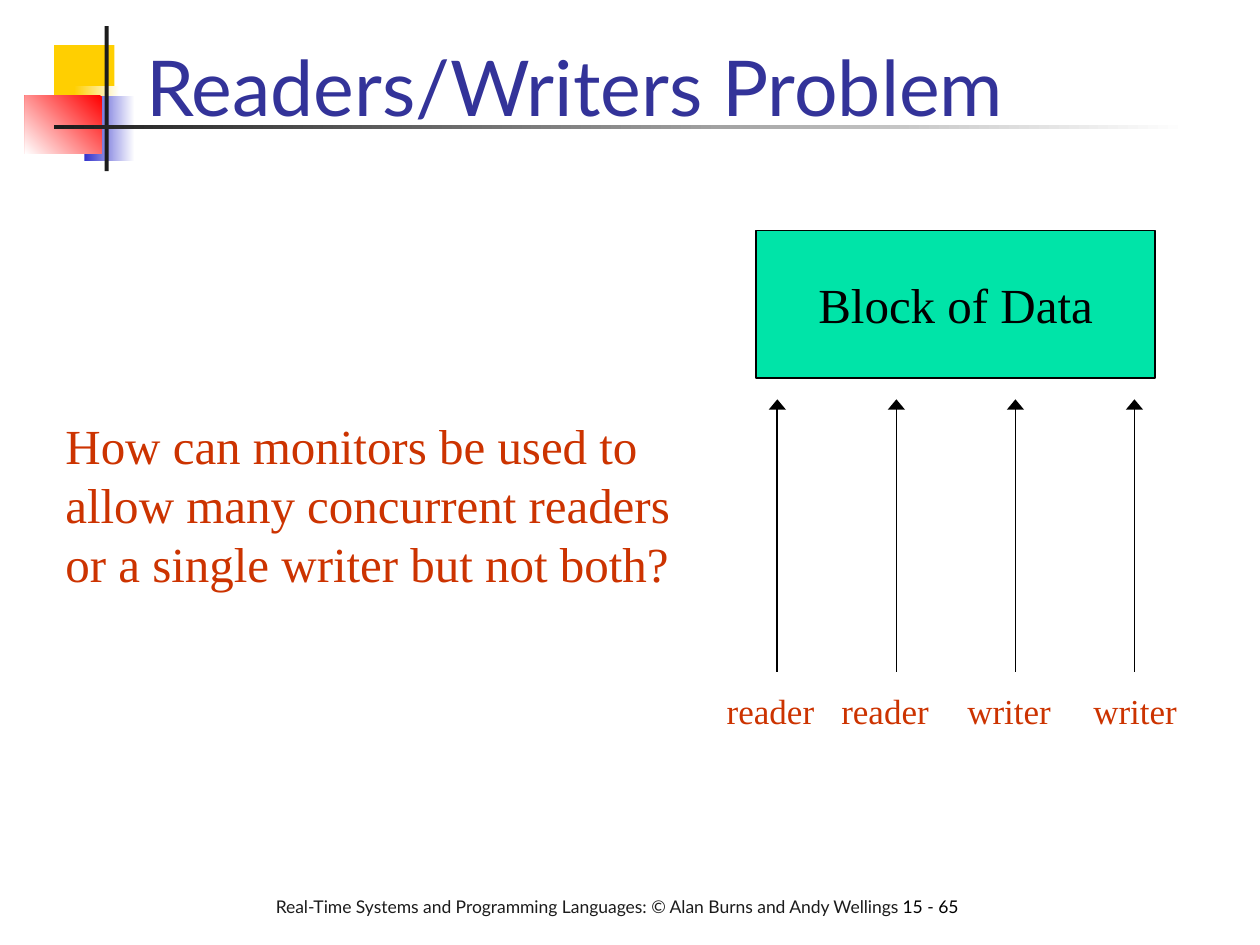
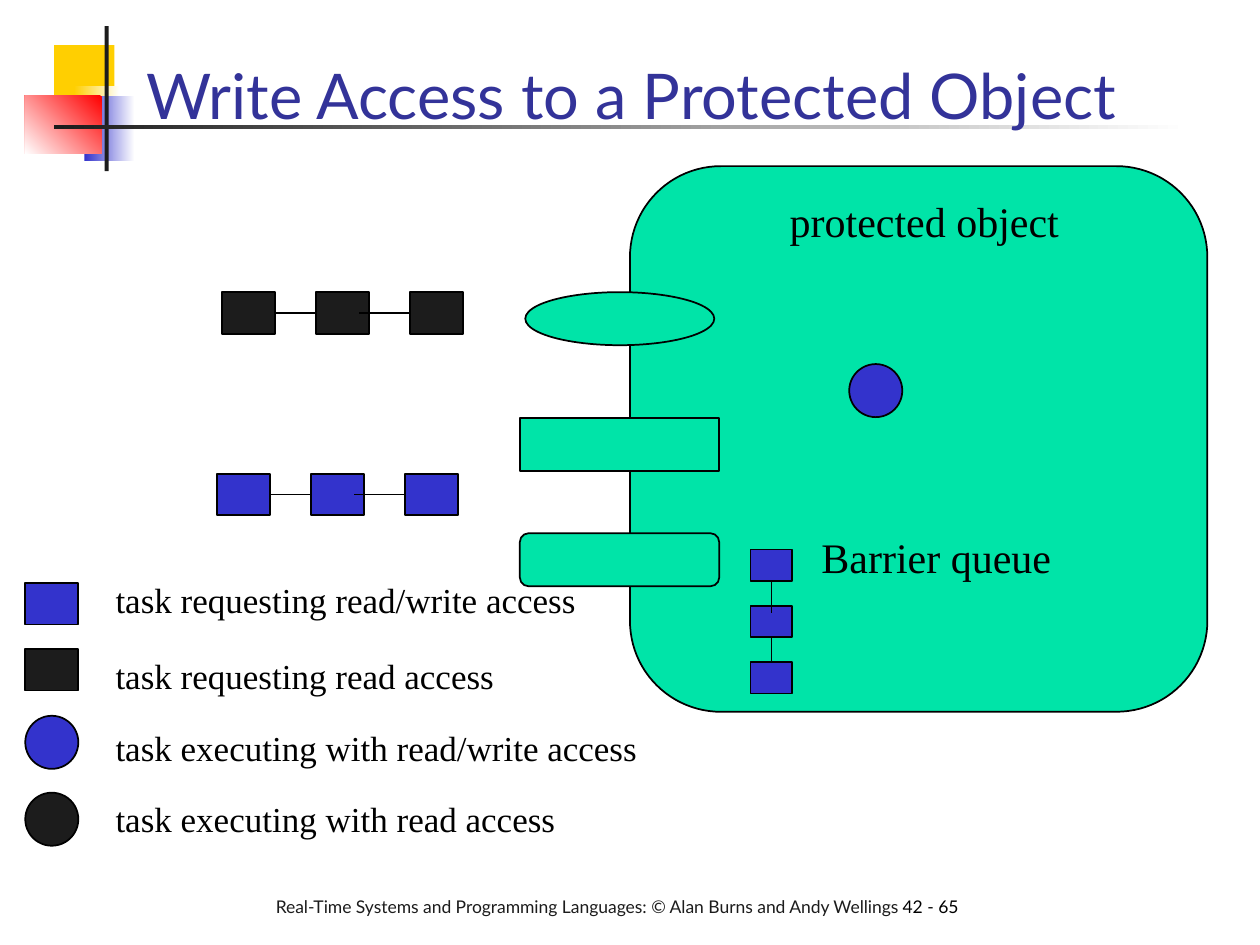
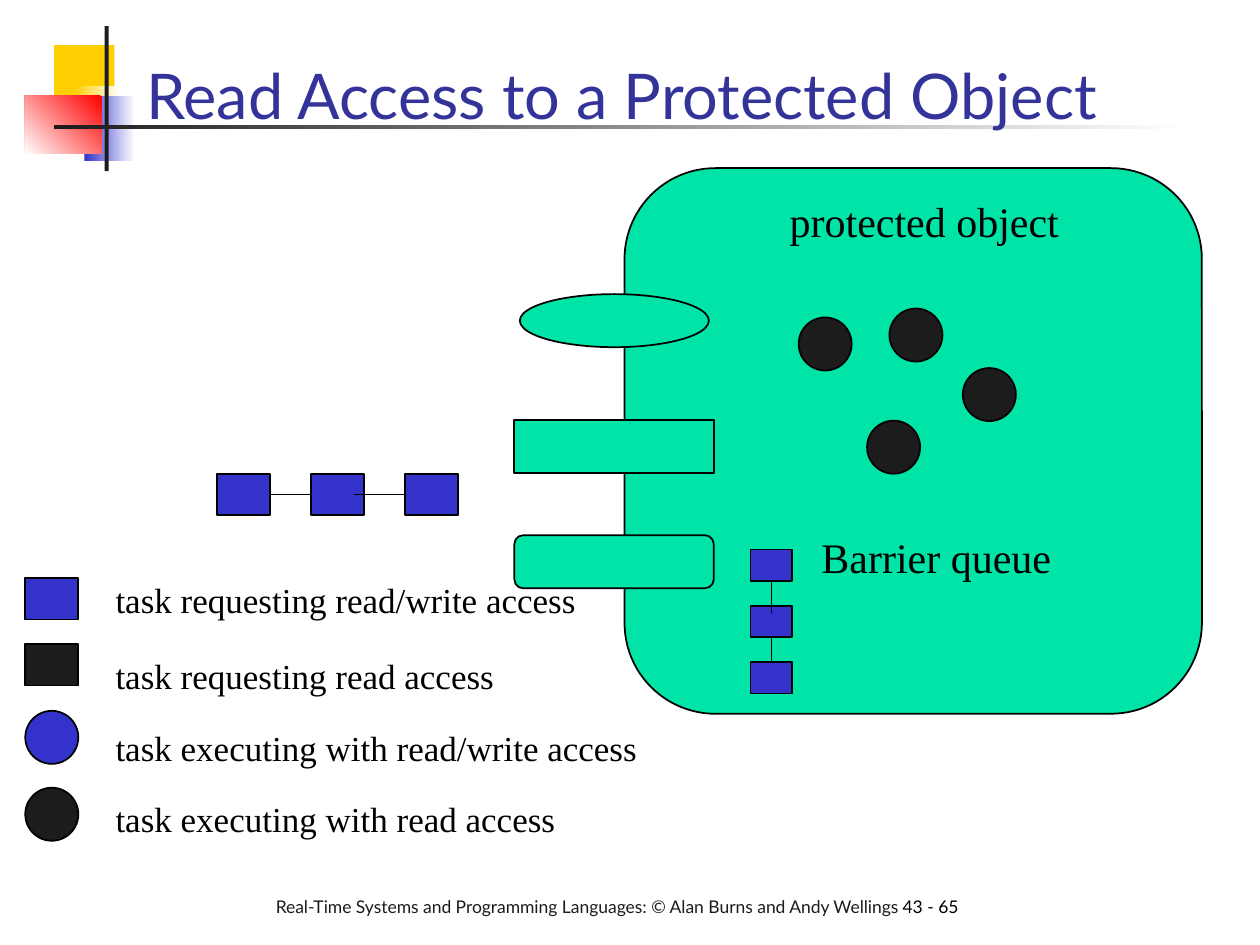
"""Build three slides on readers, writers and access to protected objects."""
from lxml.etree import SubElement
from pptx import Presentation
from pptx.dml.color import RGBColor
from pptx.enum.shapes import MSO_CONNECTOR, MSO_SHAPE
from pptx.enum.text import MSO_ANCHOR, MSO_AUTO_SIZE, PP_ALIGN
from pptx.oxml.ns import qn
from pptx.shapes.connector import Connector
from pptx.util import Cm, Pt

BLACK, WHITE, CHARCOAL = "000000", "FFFFFF", "1C1C1C"
BLUE, YELLOW, RED = "3333CC", "FFCF01", "FF0000"
GREEN, INDIGO, RUST = "00E4A8", "333399", "CC3300"
SERIF, SANS = "Times New Roman", "Lato"
RECT, ROUND, OVAL = MSO_SHAPE.RECTANGLE, MSO_SHAPE.ROUNDED_RECTANGLE, MSO_SHAPE.OVAL


def add_block(slide, kind, box, colour, outlined=True):
    """Add a filled shape with its box given in centimetres."""
    block = slide.shapes.add_shape(kind, *map(Cm, box))
    block.shadow.inherit = False
    block.fill.solid()
    block.fill.fore_color.rgb = RGBColor.from_string(colour)
    if outlined:
        block.line.color.rgb = RGBColor.from_string(BLACK)
        block.line.width = Pt(1)
    else:
        block.line.fill.background()
    return block


def write(frame, runs, size, font=SERIF, wrap=False, before=0, align=PP_ALIGN.LEFT):
    """Write one paragraph of (text, colour) runs."""
    frame.word_wrap = wrap
    paragraph = frame.paragraphs[0]
    paragraph.alignment = align
    paragraph.space_before = Pt(before)
    for text, colour in runs:
        run = paragraph.add_run()
        run.text = text
        run.font.size = Pt(size)
        run.font.name = font
        run.font.color.rgb = RGBColor.from_string(colour)


prs = Presentation()
prs.slide_width, prs.slide_height = Cm(25.4), Cm(19.05)

layout = prs.slide_layouts[5]
for placeholder in list(layout.placeholders):
    if placeholder.placeholder_format.idx > 0:
        placeholder.element.getparent().remove(placeholder.element)
heading = layout.placeholders[0]
heading.left, heading.top, heading.width, heading.height = map(Cm, (2.69, 0.33, 21.64, 2.46))

slides = []
for title, size, number in [
    ("Readers/Writers Problem", 44, 15),
    ("Write Access to a Protected Object", 36, 42),
    ("Read Access to a Protected Object", 36, 43),
]:
    slide = prs.slides.add_slide(layout)
    frame = slide.shapes.title.text_frame
    frame.vertical_anchor = MSO_ANCHOR.BOTTOM
    frame.auto_size = MSO_AUTO_SIZE.NONE
    write(frame, [(title, INDIGO)], size, SANS, wrap=True)
    footer = slide.shapes.add_textbox(Cm(5.31), Cm(17.93), Cm(15.39), Cm(1.17))
    credit = "Real-Time Systems and Programming Languages: © Alan Burns and Andy Wellings "
    write(footer.text_frame, [(credit, CHARCOAL), (f"{number} - 65", BLACK)], 10, SANS, wrap=True)
    slides.append(slide)

for box, colour, fade_to, angle in [
    ((1.09, 0.91, 1.22, 1.32), YELLOW, None, 0),
    ((1.5, 1.73, 0.91, 1.32), YELLOW, WHITE, 0),
    ((1.7, 1.93, 1.02, 1.32), BLUE, WHITE, 0),
    ((0.5, 1.93, 1.55, 1.17), RED, WHITE, 225),
    ((2.11, 0.53, 0.08, 2.92), CHARCOAL, None, 0),
    ((1.09, 2.52, 22.86, 0.09), CHARCOAL, WHITE, 0),
]:
    ornament = add_block(slides[0], RECT, box, colour, outlined=False)
    if fade_to:
        ornament.fill.gradient()
        ornament.fill.gradient_angle = angle
        for stop, shade in zip(ornament.fill.gradient_stops, (colour, fade_to)):
            stop.color.rgb = RGBColor.from_string(shade)
    layout.shapes.element.append(ornament.element)

problem = slides[0]
data_block = add_block(problem, RECT, (15.24, 4.65, 8.05, 2.97), GREEN)
data_block.text_frame.vertical_anchor = MSO_ANCHOR.MIDDLE
write(data_block.text_frame, [("Block of Data", BLACK)], 28, before=7, align=PP_ALIGN.CENTER)

arrows = []
for i, (role, left) in enumerate(
    [("reader", 14.4), ("reader", 16.71), ("writer", 19.25), ("writer", 21.79)]
):
    x = Cm(15.67 + 2.4 * i)
    arrows.append(problem.shapes.add_connector(MSO_CONNECTOR.STRAIGHT, x, Cm(13.54), x, Cm(8.05)))
    caption = problem.shapes.add_textbox(Cm(left), Cm(13.77), Cm(2.4), Cm(1.12))
    write(caption.text_frame, [(role, RUST)], 20, before=5)

question = problem.shapes.add_textbox(Cm(1.07), Cm(8.26), Cm(13.34), Cm(3.81))
query = "How can monitors be used to allow many concurrent readers or a single writer but not both?"
write(question.text_frame, [(query, RUST)], 28, wrap=True, before=7)

legend = [
    (RECT, BLUE, 11.75, 0.84, "task requesting read/write access", 11.53, 10),
    (RECT, CHARCOAL, 13.08, 0.84, "task requesting read access", 13.06, 8.4),
    (OVAL, BLUE, 14.43, 1.07, "task executing with read/write access", 14.53, 11.3),
    (OVAL, CHARCOAL, 15.98, 1.07, "task executing with read access", 15.95, 9.6),
]
read_queue = (CHARCOAL, (4.47, 5.89), (1.07, 0.84), (1.9, 0), 3, 1, (-1.04, 0))
write_queue = (BLUE, (4.37, 9.55), (1.07, 0.84), (1.9, 0), 3, 1, (-1.04, 0))
barrier_queue = (BLUE, (15.13, 13.34), (0.84, 0.64), (0, -1.13), 0, 2, (0, 0.64))

for slide, (x, y), legend_shift, queues, running_colour, running in [
    (slides[1], (12.7, 3.35), 0, [read_queue, write_queue, barrier_queue],
     BLUE, [(17.12, 7.34)]),
    (slides[2], (12.59, 3.39), -0.1, [write_queue, barrier_queue],
     CHARCOAL, [(16.1, 6.4), (17.48, 8.48), (17.93, 6.22), (19.41, 7.42)]),
]:
    for kind, box in [
        (ROUND, (x, y, 11.64, 11)),
        (OVAL, (x - 2.11, y + 2.54, 3.81, 1.07)),
        (ROUND, (x - 2.22, y + 7.4, 4.02, 1.07)),
        (RECT, (x - 2.22, y + 5.08, 4.02, 1.07)),
    ]:
        add_block(slide, kind, box, GREEN)

    for kind, colour, top, height, meaning, text_top, width in legend:
        add_block(slide, kind, (0.51, top + legend_shift, 1.07, height), colour)
        entry_text = slide.shapes.add_textbox(Cm(2.08), Cm(text_top), Cm(width), Cm(1.12))
        write(entry_text.text_frame, [(meaning, BLACK)], 20)

    for text, left, top, width in [
        ("protected object", 15.67, 3.81, 6.1),
        ("Barrier queue", 16.31, 10.59, 5.3),
    ]:
        caption = slide.shapes.add_textbox(Cm(left), Cm(top), Cm(width), Cm(1.27))
        write(caption.text_frame, [(text, BLACK)], 24)

    for colour, (left, top), task_size, (step_x, step_y), exit_side, entry_side, reach in queues:
        first, second, third = [
            add_block(slide, RECT, (left + i * step_x, top + i * step_y, *task_size), colour)
            for i in range(3)
        ]
        link, overlap = [
            slide.shapes.add_connector(MSO_CONNECTOR.STRAIGHT, 0, 0, 0, 0) for _ in range(2)
        ]
        link.begin_connect(first, exit_side)
        link.end_connect(second, entry_side)
        overlap.begin_connect(third, entry_side)
        overlap.end_x = overlap.begin_x + Cm(reach[0])
        overlap.end_y = overlap.begin_y + Cm(reach[1])

    for left, top in running:
        add_block(slide, OVAL, (left, top, 1.07, 1.07), running_colour)

for slide in slides:
    for line in slide.shapes:
        if isinstance(line, Connector):
            line.line.color.rgb = RGBColor.from_string(BLACK)
            line.line.width = Pt(1)
            SubElement(line.element.spPr, qn("a:effectLst"))
for arrow in arrows:
    SubElement(arrow.element.spPr.find(qn("a:ln")), qn("a:tailEnd"), type="triangle", w="lg")

prs.save("out.pptx")
